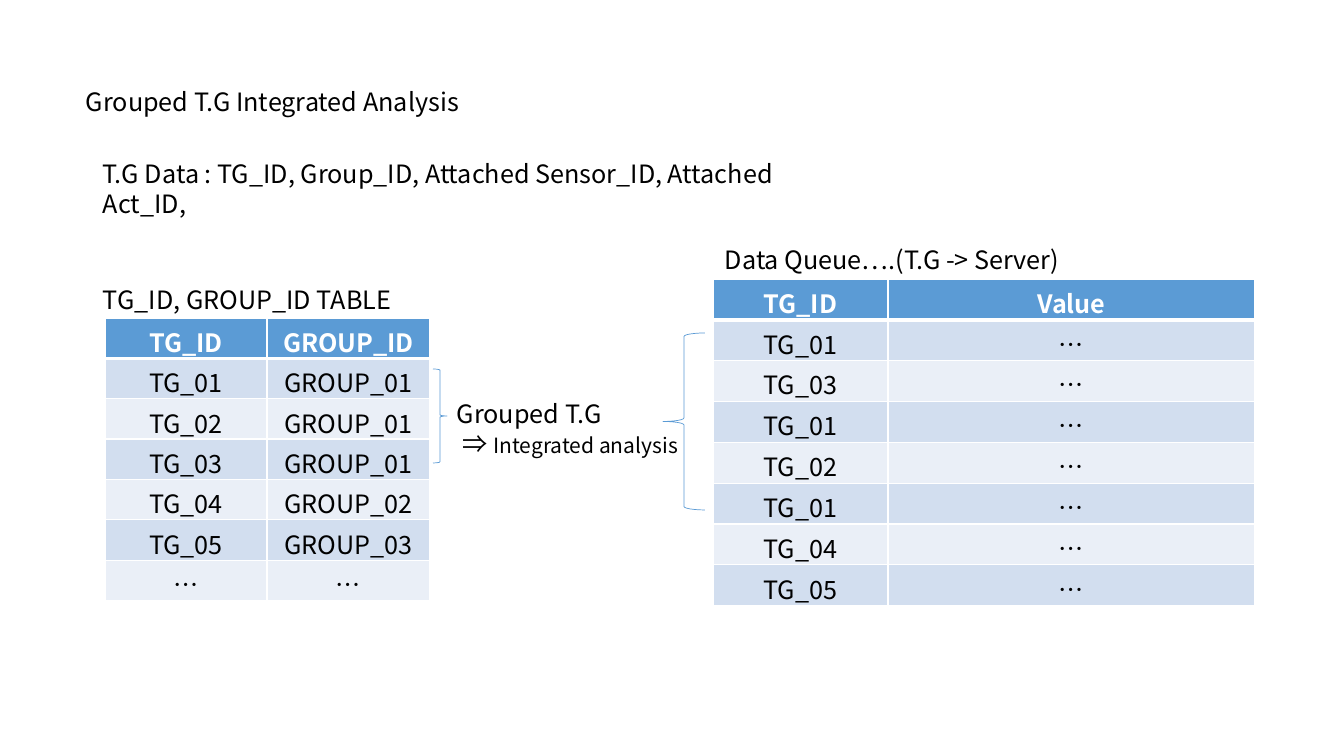
from pptx import Presentation
from pptx.dml.color import RGBColor as RGB
from pptx.enum.shapes import MSO_SHAPE as Shape
from pptx.enum.text import PP_ALIGN as Align
from pptx.oxml.ns import qn
from pptx.util import Pt
from lxml.etree import SubElement as Sub

PX = 914400 / 100.8
FONT = "Noto Sans CJK KR"
HUES = {"ink": "000000", "white": "FFFFFF", "blue": "5B9BD5",
        "band": "D2DEEF", "pale": "EAEFF7"}


def emu(*sizes):
    """Turn pixel lengths into EMU."""
    return [round(size * PX) for size in sizes]


def hue(name):
    """Look up a colour."""
    return RGB.from_string(HUES[name])


def style(run, size=18, color="ink", bold=False):
    """Format one run."""
    font = run.font
    font.size, font.bold, font.name = Pt(size), bold, FONT
    font.color.rgb = hue(color)
    Sub(run._r.get_or_add_rPr(), qn("a:ea"), typeface=FONT)


def add_text(slide, box, *lines):
    """Add a text box with one paragraph per line."""
    frame = slide.shapes.add_textbox(*emu(*box)).text_frame
    frame.word_wrap = True
    frame.text = "\n".join(lines)
    for para in frame.paragraphs:
        for run in para.runs:
            style(run)
    return frame


def add_edges(cell, row):
    """Draw white cell borders, thick below the header."""
    props = cell._tc.get_or_add_tcPr()
    for side in "LRTB":
        thick = (row, side) in ((0, "B"), (1, "T"))
        edge = Sub(props, qn(f"a:ln{side}"), w=str(Pt(3 if thick else 1)))
        fill = Sub(edge, qn("a:solidFill"))
        Sub(fill, qn("a:srgbClr"), val=HUES["white"])


def add_table(slide, box, widths, rows):
    """Add a banded table with a header row."""
    frame = slide.shapes.add_table(len(rows), len(widths), *emu(*box))
    table = frame.table
    for col, width in zip(table.columns, emu(*widths)):
        col.width = width
    for i, row in enumerate(rows):
        for j, word in enumerate(row):
            cell = table.cell(i, j)
            add_edges(cell, i)
            cell.fill.solid()
            band = "band" if i % 2 else "pale"
            cell.fill.fore_color.rgb = hue(band if i else "blue")
            cell.text = word
            para = cell.text_frame.paragraphs[0]
            para.alignment = Align.CENTER
            style(para.runs[0], color="ink" if i else "white", bold=i == 0)


def add_brace(slide, kind, box):
    """Add a thin blue brace."""
    brace = slide.shapes.add_shape(kind, *emu(*box))
    brace.shadow.inherit = False
    brace.fill.background()
    brace.line.color.rgb = hue("blue")
    brace.line.width = Pt(0.5)


def main():
    """Build the slide."""
    deck = Presentation()
    deck.slide_width, deck.slide_height = emu(1344, 756)
    slide = deck.slides.add_slide(deck.slide_layouts[6])
    add_text(slide, (76, 81, 448, 40), "Grouped T.G Integrated Analysis")

    groups = ["01", "01", "01", "02", "03"]
    pairs = [(f"TG_0{i}", f"GROUP_{group}")
             for i, group in enumerate(groups, 1)]
    add_table(slide, (105, 318, 325, 282), (162, 163),
              [("TG_ID", "GROUP_ID"), *pairs, ("…", "…")])
    queue = [(f"TG_0{i}", "…") for i in (1, 3, 1, 2, 1, 4, 5)]
    add_table(slide, (713, 279, 542, 327), (175, 367),
              [("TG_ID", "Value"), *queue])

    add_brace(slide, Shape.LEFT_BRACE, (663, 333, 42, 177))
    note = add_text(slide, (447, 393, 267, 72), "Grouped T.G", " ⇒ ")
    run = note.paragraphs[1].add_run()
    run.text = "Integrated analysis"
    style(run, 15)
    add_text(slide, (715, 239, 391, 40), "Data Queue….(T.G -> Server)")
    add_text(slide, (93, 279, 313, 40), "TG_ID, GROUP_ID TABLE")
    add_text(slide, (93, 153, 777, 40),
             "T.G Data : TG_ID, Group_ID, Attached Sensor_ID, "
             "Attached Act_ID, ")
    add_brace(slide, Shape.RIGHT_BRACE, (433, 369, 14, 94))
    deck.save("out.pptx")


main()
